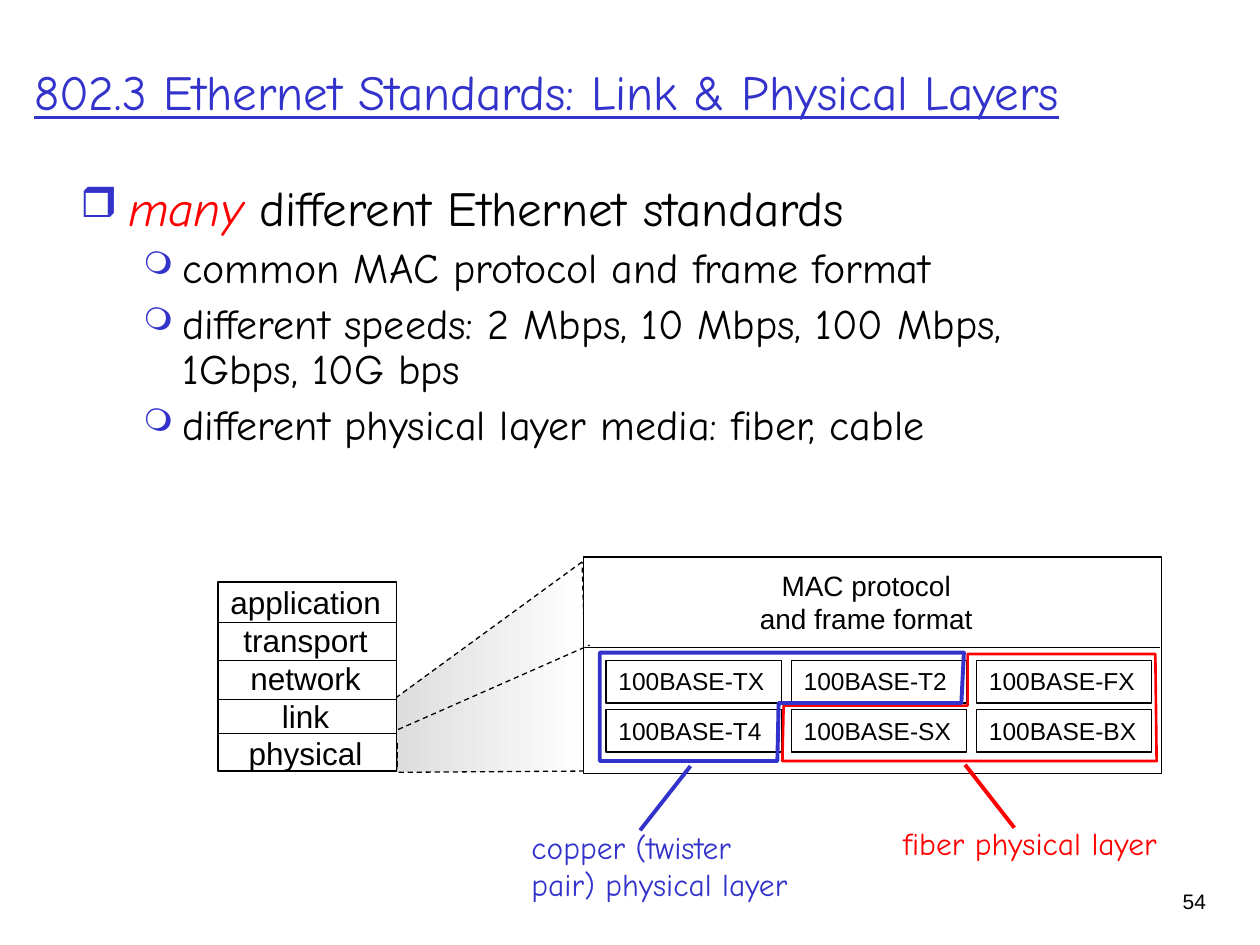
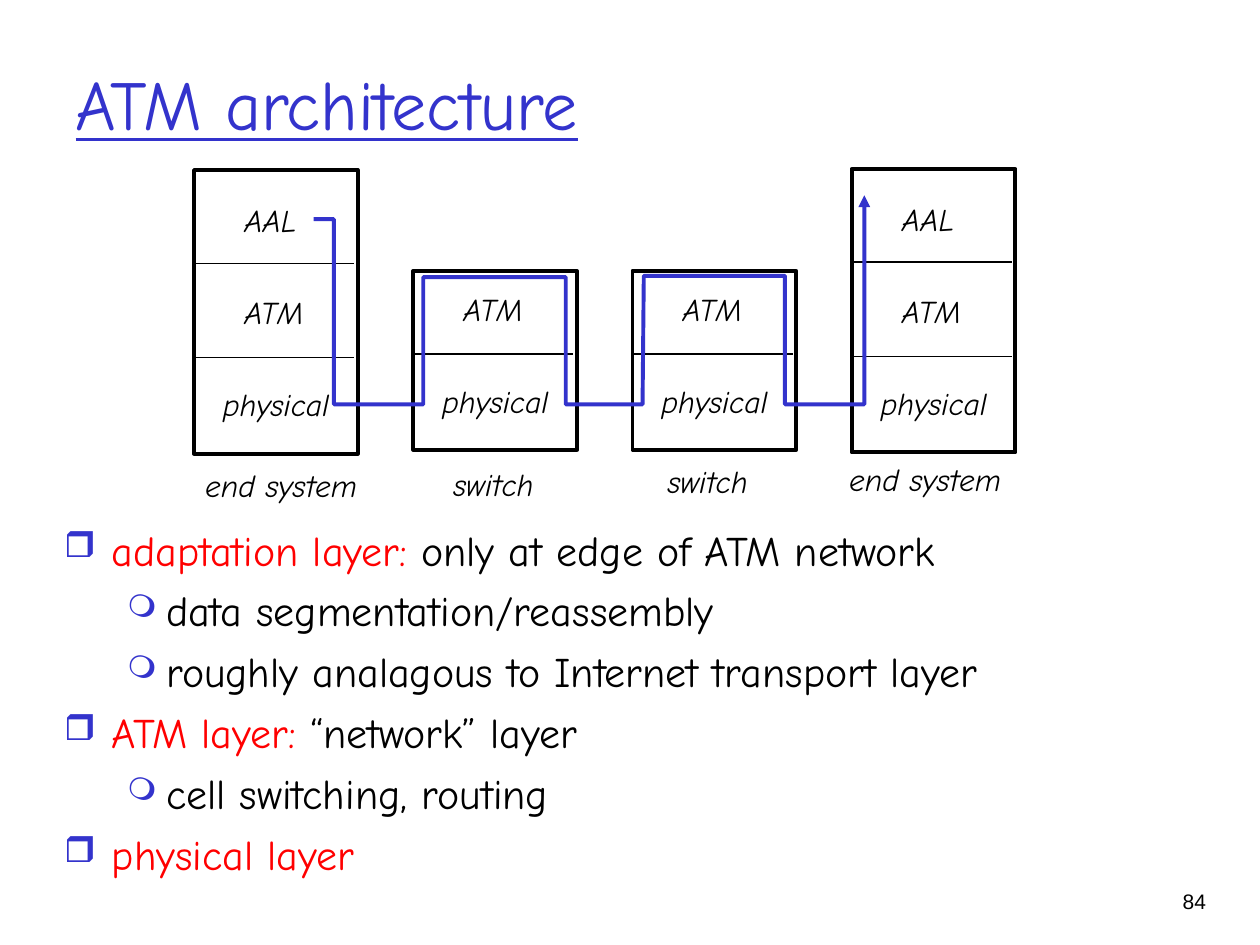
from pptx import Presentation
from pptx.dml.color import RGBColor
from pptx.enum.dml import MSO_LINE
from pptx.enum.shapes import MSO_CONNECTOR, MSO_SHAPE
from pptx.enum.text import MSO_ANCHOR, MSO_AUTO_SIZE, PP_ALIGN
from pptx.oxml.ns import qn
from pptx.util import Pt
from lxml.etree import SubElement

PX = 9144
COLORS = {"blue": "3333CC", "red": "FF0000", "black": "000000",
          "white": "FFFFFF", "gray": "DDDDDD"}
HAND, SANS = "Comic Neue", "Arial"
BULLETS = [("❒", 85, 38, -38), ("❍", 75, 81, -31)]


def rgb(name):
    return RGBColor.from_string(COLORS[name])


def emu(*lengths):
    return [length * PX for length in lengths]


def write(frame, paragraphs, size=18, font=HAND, color="black", italic=False,
          underline=False, align=PP_ALIGN.LEFT, anchor=MSO_ANCHOR.TOP, wrap=False):
    frame.word_wrap = wrap
    frame.auto_size = MSO_AUTO_SIZE.NONE if wrap else MSO_AUTO_SIZE.SHAPE_TO_FIT_TEXT
    frame.vertical_anchor = anchor
    for index, runs in enumerate(paragraphs):
        paragraph = frame.add_paragraph() if index else frame.paragraphs[0]
        paragraph.alignment = align
        for words, own in [(runs, {})] if isinstance(runs, str) else runs:
            run = paragraph.add_run()
            run.text = words
            run.font.name = font
            run.font.size = Pt(own.get("size", size))
            run.font.italic = own.get("italic", italic)
            run.font.underline = underline
            run.font.color.rgb = rgb(own.get("color", color))


class Deck:
    def __init__(self):
        self.show = Presentation()
        self.show.slide_width, self.show.slide_height = emu(1000, 750)
        self.slide = None

    def start(self, title, box, size, number):
        self.slide = self.show.slides.add_slide(self.show.slide_layouts[5])
        heading = self.slide.shapes.title
        heading.left, heading.top, heading.width, heading.height = emu(*box)
        write(heading.text_frame, [title], size=size, color="blue", underline=True,
              anchor=MSO_ANCHOR.MIDDLE, wrap=True)
        self.text([str(number)], (893, 700, 74, 50), size=12, font=SANS,
                  align=PP_ALIGN.RIGHT, wrap=True)

    def text(self, paragraphs, box, **style):
        frame = self.slide.shapes.add_textbox(*emu(*box)).text_frame
        write(frame, paragraphs, **style)
        return frame

    def outline(self, items, box, line_spacing=1.0, first_gap=6):
        frame = self.text([runs for _, runs in items], box, size=24, wrap=True)
        for index, (paragraph, (level, _)) in enumerate(zip(frame.paragraphs, items)):
            mark, percent, margin, indent = BULLETS[level]
            paragraph.level = level
            paragraph.line_spacing = line_spacing
            paragraph.space_before = Pt(6 if index else first_gap)
            props = paragraph._p.get_or_add_pPr()
            props.set("marL", str(margin * PX))
            props.set("indent", str(indent * PX))
            tint = SubElement(props, qn("a:buClr"))
            SubElement(tint, qn("a:srgbClr"), val=COLORS["blue"])
            SubElement(props, qn("a:buSzPct"), val=str(percent * 1000))
            SubElement(props, qn("a:buChar"), char=mark)

    def stroke(self, shape, color, weight, dashed=False):
        shape.line.color.rgb = rgb(color)
        shape.line.width = Pt(weight)
        if dashed:
            shape.line.dash_style = MSO_LINE.DASH

    def box(self, box, weight=0.75, fill="white", label=None):
        shape = self.slide.shapes.add_shape(MSO_SHAPE.RECTANGLE, *emu(*box))
        shape.shadow.inherit = False
        if fill:
            shape.fill.solid()
            shape.fill.fore_color.rgb = rgb(fill)
        else:
            shape.fill.background()
        self.stroke(shape, "black", weight)
        if label:
            write(shape.text_frame, [label], size=14, font=SANS)

    def line(self, x1, y1, x2, y2, color="black", weight=0.75, dashed=False):
        link = self.slide.shapes.add_connector(MSO_CONNECTOR.STRAIGHT, *emu(x1, y1, x2, y2))
        self.stroke(link, color, weight, dashed)
        SubElement(link.element.spPr, qn("a:effectLst"))

    def path_through(self, points, color="black", weight=0.75, dashed=False,
                     close=True, gradient=None, arrow=False):
        builder = self.slide.shapes.build_freeform(*points[0], scale=PX)
        builder.add_line_segments(points[1:], close=close)
        shape = builder.convert_to_shape()
        shape.shadow.inherit = False
        if gradient:
            shape.fill.gradient()
            shape.fill.gradient_angle = 180
            for stop, name in zip(shape.fill.gradient_stops, gradient):
                stop.color.rgb = rgb(name)
        else:
            shape.fill.background()
        self.stroke(shape, color, weight, dashed)
        if arrow:
            SubElement(shape.element.spPr.find(qn("a:ln")), qn("a:tailEnd"), type="triangle")

    def layer_stack(self, left, bottom, height, layers):
        self.box((left, bottom - height, 130, height), weight=2.25)
        for index, layer in enumerate(layers):
            if index:
                divider = bottom - 1 - 75 * index
                self.line(left + 1, divider, left + 127, divider)
            inset, width = (13, 108) if layer == "physical" else (30, 72)
            self.text([layer], (left + inset, bottom - 59 - 73 * index, width, 40), italic=True)


def ethernet_slide(deck):
    deck.start("802.3 Ethernet Standards: Link & Physical Layers", (17, 10, 953, 125), 28, 54)
    deck.outline([
        (0, [("many", {"size": 28, "color": "red", "italic": True}),
             (" different Ethernet standards", {"size": 28})]),
        (1, "common MAC protocol and frame format"),
        (1, "different speeds: 2 Mbps, 10 Mbps, 100 Mbps, 1Gbps, 10G bps"),
        (1, "different physical layer media: fiber, cable"),
    ], (54, 141, 850, 230), line_spacing=0.9, first_gap=7)

    deck.path_through([(462, 446), (314, 554), (315, 613), (467, 612)],
                      dashed=True, gradient=("white", "gray"))
    deck.box((173, 462, 142, 150))
    deck.text(["application", "transport", "network", "link", "physical"],
              (165, 458, 155, 160), font=SANS, align=PP_ALIGN.CENTER)
    for divider in (494, 524, 555, 582):
        deck.line(173, divider, 315, divider)
    for side in (173, 315):
        deck.line(side, 590, side, 609, dashed=True)

    deck.box((463, 442, 459, 172))
    deck.line(464, 514, 921, 514)
    deck.line(316, 579, 468, 512, dashed=True)
    deck.text(["MAC protocol", "and frame format"], (590, 446, 195, 64),
              size=16, font=SANS, align=PP_ALIGN.CENTER)
    standards = [("TX", "T2", "FX"), ("T4", "SX", "BX")]
    for row, suffixes in enumerate(standards):
        for column, suffix in enumerate(suffixes):
            deck.box((481 + 147 * column, 524 + 39 * row, 139, 34),
                     fill=None, label="100BASE-" + suffix)

    deck.path_through([(768, 519), (768, 560), (622, 560), (621, 604), (918, 604), (917, 519)],
                      color="red", weight=1.5)
    deck.line(766, 607, 805, 657, color="red", weight=2.25)
    deck.text(["fiber physical layer"], (707, 649, 225, 40), color="red")
    deck.path_through([(765, 518), (763, 558), (618, 558), (617, 604), (476, 604), (476, 518)],
                      color="blue", weight=2.25)
    deck.line(548, 608, 508, 659, color="blue", weight=2.25)
    deck.text(["copper (twister", "pair) physical layer"], (412, 652, 227, 70), color="blue")


def atm_slide(deck):
    deck.start("ATM architecture", (50, 19, 850, 125), 40, 84)
    red = {"color": "red"}
    deck.outline([
        (0, [("adaptation layer:", red), (" only at edge of ATM network", {})]),
        (1, "data segmentation/reassembly"),
        (1, "roughly analagous to Internet transport layer"),
        (0, [("ATM layer:", red), (" “network” layer", {})]),
        (1, "cell switching, routing"),
        (0, [("physical layer", red)]),
    ], (41, 411, 871, 292))

    for left, bottom in ((154, 360), (676, 359)):
        deck.layer_stack(left, bottom, 225, ["physical", "ATM", "AAL"])
    for left in (328, 502):
        deck.layer_stack(left, 357, 142, ["physical", "ATM"])
    deck.path_through([(249, 174), (265, 174), (265, 321), (336, 321), (336, 220), (449, 220),
                       (449, 321), (510, 321), (511, 219), (623, 219), (623, 321),
                       (686, 321), (686, 155)],
                      color="blue", weight=2.25, close=False, arrow=True)
    for caption, left, top, width in (("end system", 153, 365, 145), ("switch", 350, 364, 88),
                                      ("switch", 520, 362, 88), ("end system", 664, 360, 145)):
        deck.text([caption], (left, top, width, 40), italic=True)


def main():
    deck = Deck()
    ethernet_slide(deck)
    atm_slide(deck)
    deck.show.save("out.pptx")


if __name__ == "__main__":
    main()
